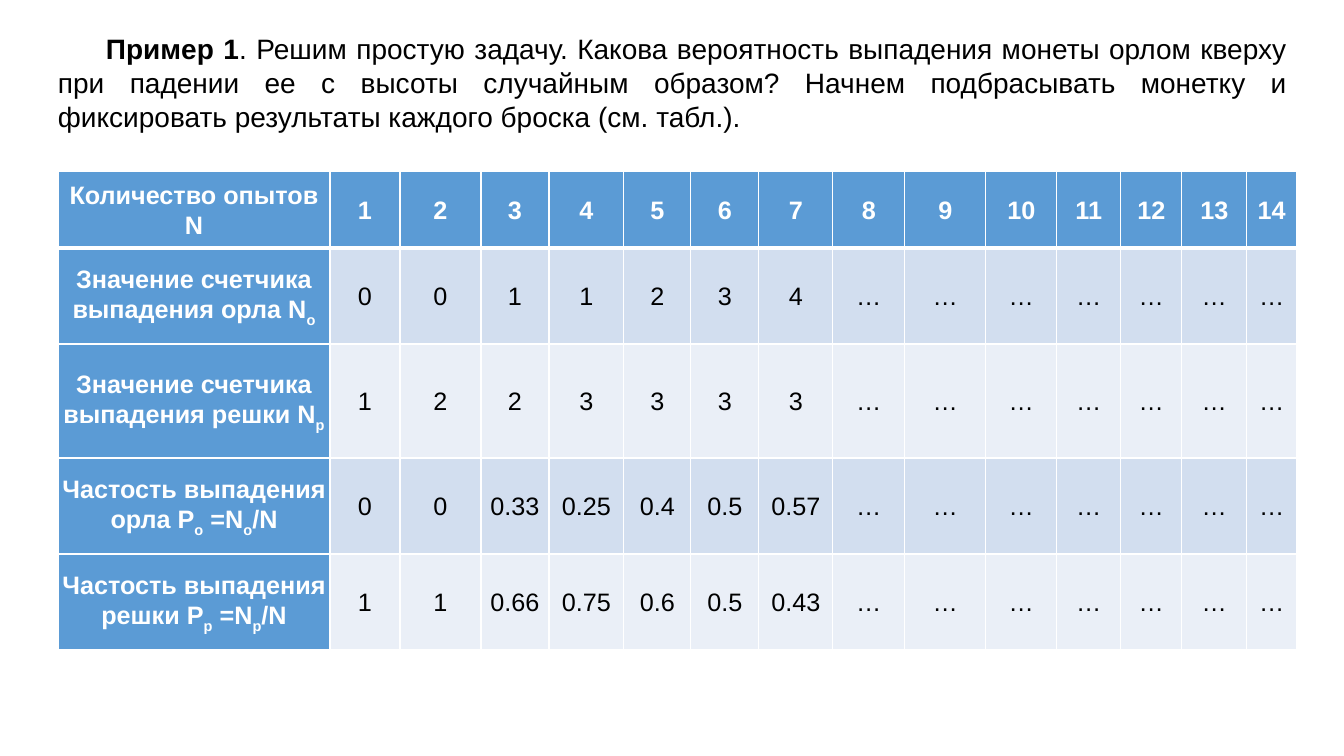
from lxml.etree import SubElement
from pptx import Presentation
from pptx.dml.color import RGBColor
from pptx.enum.text import MSO_ANCHOR, PP_ALIGN
from pptx.oxml.ns import qn
from pptx.util import Pt

SCALE = 914400 / 100.8  # EMU in one pixel
FONT = "Arial"
BLUE, WHITE, BLACK = "5B9BD5", "FFFFFF", "000000"
BANDS = ("D2DEEF", "EAEFF7")

INTRO_TITLE = "Пример 1"
INTRO_BODY = (
    ". Решим простую задачу. Какова вероятность выпадения монеты орлом кверху "
    "при падении ее с высоты случайным образом? Начнем подбрасывать монетку и "
    "фиксировать результаты каждого броска (см. табл.)."
)
INTRO_BOX = (48, 27, 1249, 112)
INTRO_INDENT = 48

# Row labels: lines of text pieces, where every second piece is a subscript.
LABELS = [
    [["Количество опытов N"]],
    [["Значение счетчика"], ["выпадения орла N", "о"]],
    [["Значение счетчика"], ["выпадения решки N", "р"]],
    [["Частость выпадения"], ["орла P", "о", "\u00a0=N", "о", "/N"]],
    [["Частость выпадения"], ["решки P", "р", "\u00a0=N", "р", "/N"]],
]
TRIALS = 14
RESULTS = [
    ["0", "0", "1", "1", "2", "3", "4"],
    ["1", "2", "2", "3", "3", "3", "3"],
    ["0", "0", "0.33", "0.25", "0.4", "0.5", "0.57"],
    ["1", "1", "0.66", "0.75", "0.6", "0.5", "0.43"],
]
TABLE_LEFT, TABLE_TOP = 58, 171
COLUMN_WIDTHS = [272, 70, 81, 68, 75, 67, 68, 74, 72, 81, 71, 64, 61, 65, 50]
ROW_HEIGHTS = [77, 96, 114, 96, 96]
CELL_MARGIN = 3


def px(pixels):
    """Turn pixels into EMU."""
    return round(pixels * SCALE)


def color(hex_text):
    """Turn a hex string into a colour."""
    return RGBColor.from_string(hex_text)


def set_font(font, size, hex_text, bold=None):
    """Set the typeface, size, colour and weight of a font."""
    font.name, font.size, font.bold = FONT, Pt(size), bold
    font.color.rgb = color(hex_text)


def add_border(cell, side, width):
    """Draw one white edge (L, R, T or B) of a cell."""
    line = SubElement(cell._tc.get_or_add_tcPr(), qn(f"a:ln{side}"), w=str(Pt(width)))
    SubElement(SubElement(line, qn("a:solidFill")), qn("a:srgbClr"), val=WHITE)


def fill_cell(cell, lines, row, is_heading):
    """Write and style one table cell."""
    widths = {"L": 1, "R": 1, "T": 3 if row == 1 else 1, "B": 3 if row == 0 else 1}
    for side, width in widths.items():
        add_border(cell, side, width)
    cell.fill.solid()
    cell.fill.fore_color.rgb = color(BLUE if is_heading else BANDS[(row - 1) % 2])
    cell.vertical_anchor = MSO_ANCHOR.MIDDLE
    cell.margin_left = cell.margin_right = px(CELL_MARGIN)
    cell.margin_top = cell.margin_bottom = px(CELL_MARGIN)
    para = cell.text_frame.paragraphs[0]
    para.alignment, para.line_spacing = PP_ALIGN.CENTER, 1.07
    set_font(para.font, 18, WHITE if is_heading else BLACK, is_heading)
    for number, pieces in enumerate(lines):
        if number:
            para.add_line_break()
        for index, text in enumerate(pieces):
            span = para.add_run()
            span.text = text
            set_font(span.font, 18, WHITE if is_heading else BLACK, is_heading)
            if index % 2:
                span.font._element.set("baseline", "-25000")


def add_results_table(page):
    """Add the table of coin tosses."""
    rows = [[str(trial) for trial in range(1, TRIALS + 1)]]
    rows += [values + ["…"] * (TRIALS - len(values)) for values in RESULTS]
    table = page.shapes.add_table(
        len(rows), len(COLUMN_WIDTHS), px(TABLE_LEFT), px(TABLE_TOP),
        px(sum(COLUMN_WIDTHS)), px(sum(ROW_HEIGHTS)),
    ).table
    for column, width in zip(table.columns, COLUMN_WIDTHS):
        column.width = px(width)
    for row, (label, values) in enumerate(zip(LABELS, rows)):
        table.rows[row].height = px(ROW_HEIGHTS[row])
        contents = [label] + [[[value]] for value in values]
        for column, lines in enumerate(contents):
            fill_cell(table.cell(row, column), lines, row, row == 0 or column == 0)


def add_intro(page):
    """Add the justified paragraph that states the problem."""
    box = page.shapes.add_textbox(*map(px, INTRO_BOX))
    box.text_frame.word_wrap = True
    para = box.text_frame.paragraphs[0]
    para.alignment = PP_ALIGN.JUSTIFY
    para._p.get_or_add_pPr().set("indent", str(px(INTRO_INDENT)))
    set_font(para.font, 20, BLACK)
    for text, bold in ((INTRO_TITLE, True), (INTRO_BODY, False)):
        span = para.add_run()
        span.text = text
        set_font(span.font, 20, BLACK, bold)


deck = Presentation()
deck.slide_width, deck.slide_height = px(1344), px(756)
page = deck.slides.add_slide(deck.slide_layouts[6])
add_results_table(page)
add_intro(page)
deck.save("out.pptx")
